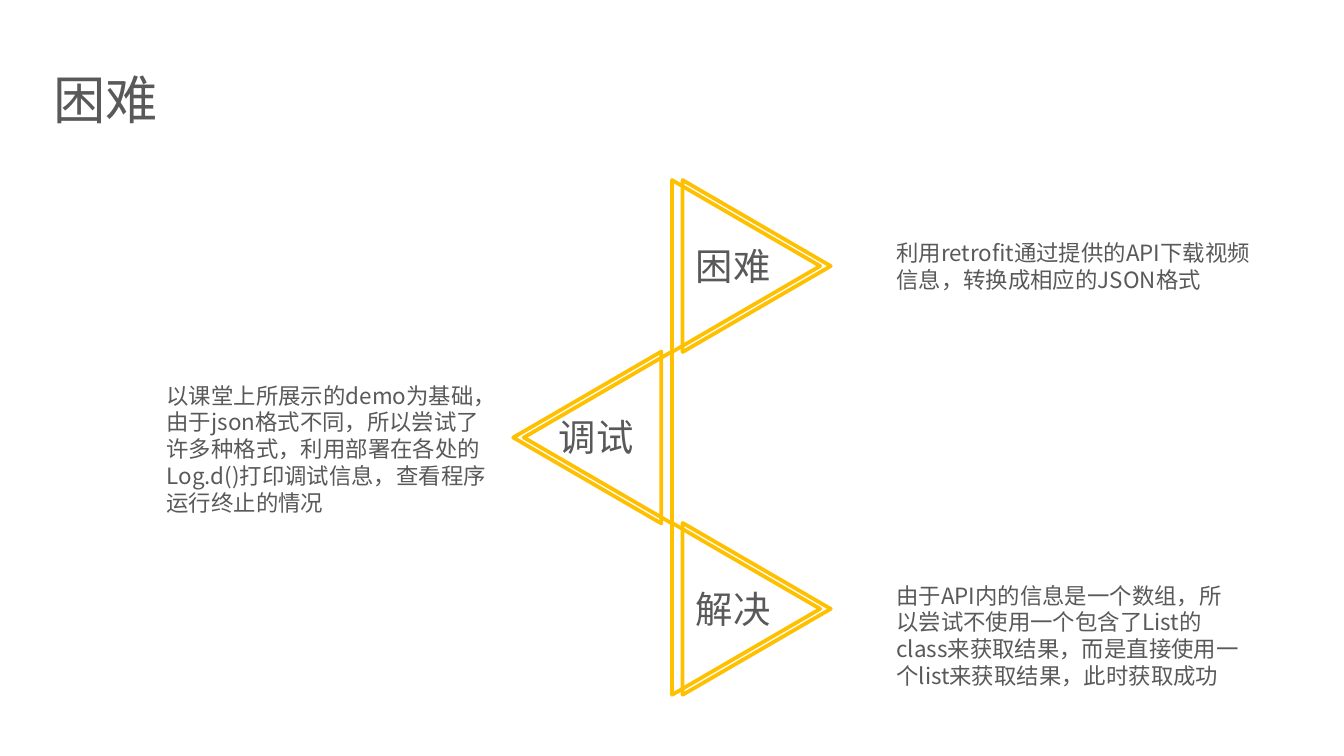
from lxml.etree import SubElement
from pptx import Presentation
from pptx.dml.color import RGBColor
from pptx.enum.shapes import MSO_SHAPE as Kind
from pptx.enum.text import MSO_AUTO_SIZE as Fit
from pptx.oxml.ns import qn
from pptx.util import Cm, Pt

COLORS = {"text": "595959", "line": "FFC000"}
FACE = "Noto Sans CJK SC"
AXIS = 12.7  # vertical line the triangles fan out from
TOP, STEP = 5.03, 3.24  # first row's centre and row pitch
BASE, TALL = 3.25, 2.8  # triangle before it is turned
GAP = 0.2  # from inner to outer outline


def color(name):
    return RGBColor.from_string(COLORS[name])


class Page:
    def __init__(self, slide, face):
        self.slide = slide
        self.face = face

    def text(self, words, left, top, width, height, size, wrap=False):
        box = self.slide.shapes.add_textbox(
            Cm(left), Cm(top), Cm(width), Cm(height))
        frame = box.text_frame
        frame.word_wrap = wrap
        frame.auto_size = Fit.SHAPE_TO_FIT_TEXT
        para = frame.paragraphs[0]
        para.text = words
        para.line_spacing = Pt(size * 1.2)
        font = para.font
        font.size = Pt(size)
        font.name = self.face
        font.color.rgb = color("text")
        # East Asian glyphs take their own typeface entry
        props = para._p.pPr.find(qn("a:defRPr"))
        SubElement(props, qn("a:ea")).set("typeface", self.face)

    def arrow(self, x, y, side):
        """Draw a triangle centred on x, y; side 1 points right, -1 left."""
        shape = self.slide.shapes.add_shape(
            Kind.ISOSCELES_TRIANGLE, Cm(x - BASE / 2), Cm(y - TALL / 2),
            Cm(BASE), Cm(TALL))
        shape.rotation = 90 if side > 0 else 270
        shape.shadow.inherit = False
        shape.fill.background()
        shape.line.color.rgb = color("line")
        shape.line.width = Pt(2)


def main():
    deck = Presentation()
    deck.slide_width, deck.slide_height = Cm(25.4), Cm(14.29)
    page = Page(deck.slides.add_slide(deck.slide_layouts[6]), FACE)

    # label, its left edge, pointing side
    steps = [("困难", 12.9, 1), ("调试", 10.31, -1), ("解决", 12.9, 1)]
    rows = [(TOP + i * STEP, *step) for i, step in enumerate(steps)]
    for shift in (0, GAP):
        for y, _, _, side in rows:
            page.arrow(AXIS + side * (TALL / 2 + shift), y, side)
    for y, label, left, _ in rows:
        page.text(label, left, y - 0.56, 1.93, 1.12, 20)

    notes = [
        ("利用retrofit通过提供的API下载视频信息，转换成相应的JSON格式",
         16.69, 4.39, 7.39, 1.27),
        ("由于API内的信息是一个数组，所以尝试不使用一个包含了List的"
         "class来获取结果，而是直接使用一个list来获取结果，此时获取成功",
         16.69, 10.87, 7.01, 2.31),
        ("以课堂上所展示的demo为基础，由于json格式不同，所以尝试了许多种格式，"
         "利用部署在各处的Log.d()打印调试信息，查看程序运行终止的情况",
         2.9, 7.09, 6.78, 2.82),
    ]
    for words, *area in notes:
        page.text(words, *area, size=12, wrap=True)
    page.text("困难", 0.76, 1.14, 2.51, 1.45, 28)
    deck.save("out.pptx")


if __name__ == "__main__":
    main()
